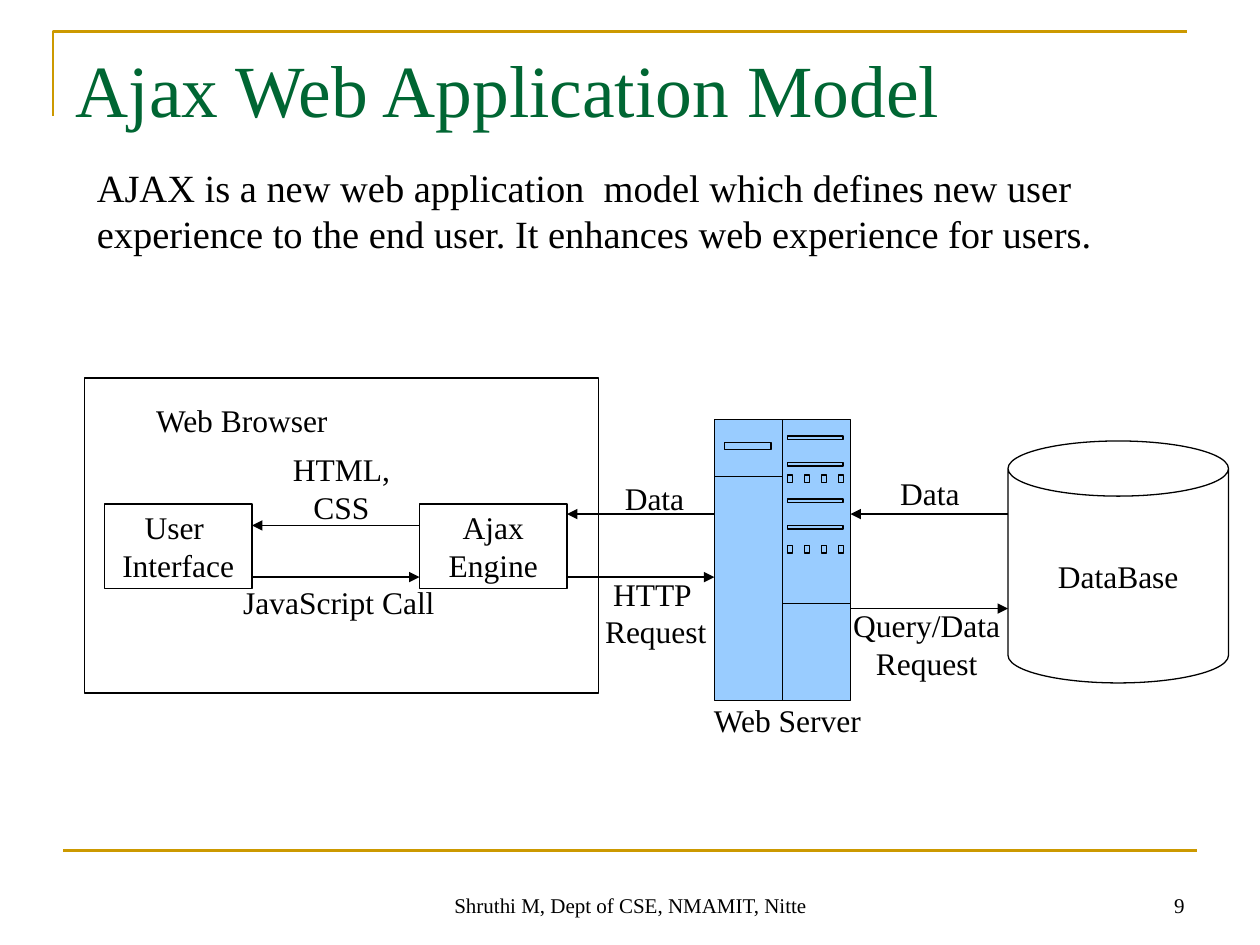
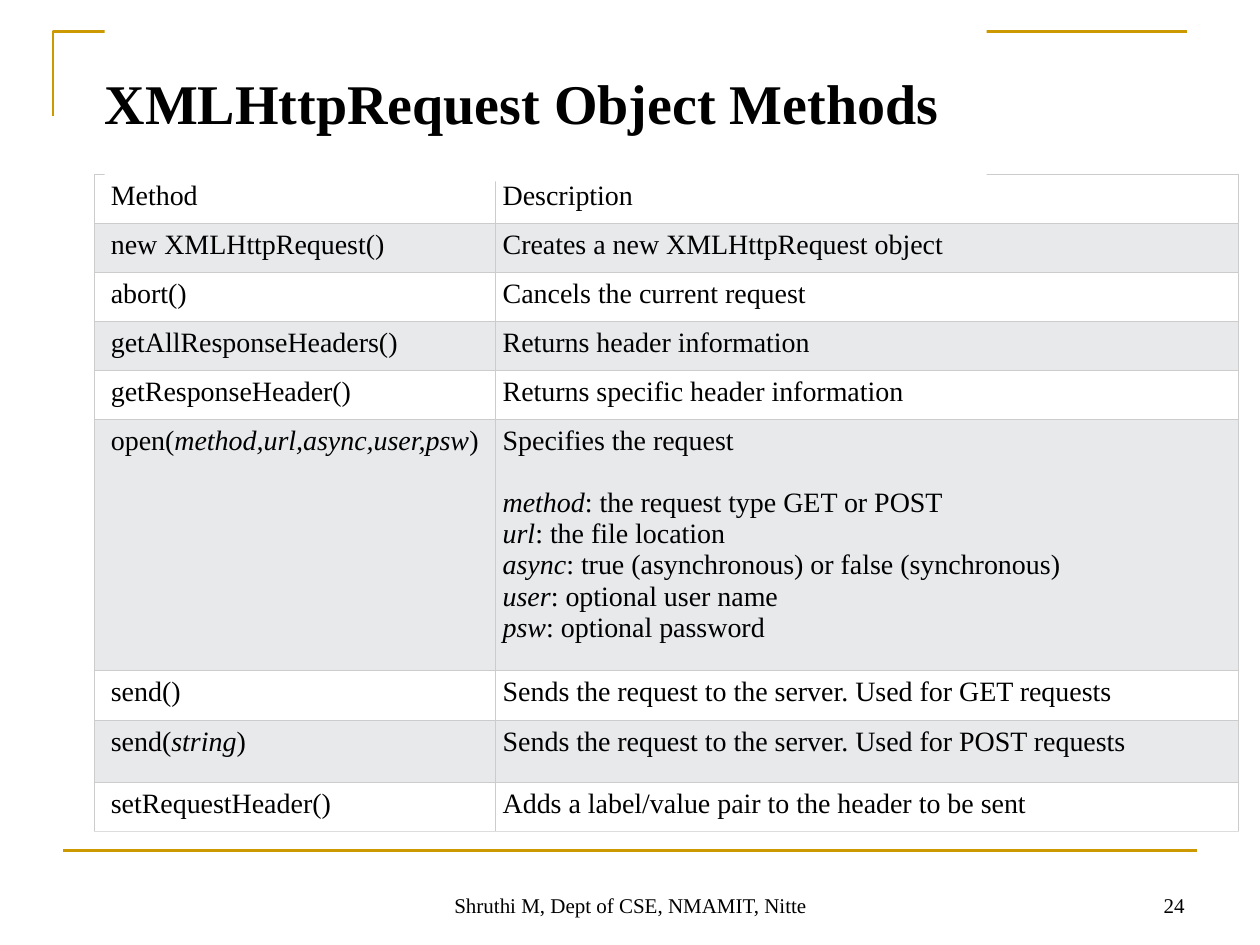
from collections import namedtuple

import pptx
import pptx.dml.color
import pptx.enum.shapes
import pptx.enum.text
import pptx.oxml.ns
import pptx.util
from lxml import etree

Inches = pptx.util.Inches
Pt = pptx.util.Pt
RGBColor = pptx.dml.color.RGBColor
Shape = pptx.enum.shapes.MSO_SHAPE
Align = pptx.enum.text.PP_ALIGN
Anchor = pptx.enum.text.MSO_ANCHOR
qn = pptx.oxml.ns.qn

FONT = "Times New Roman"
BLACK = RGBColor(0x00, 0x00, 0x00)
WHITE = RGBColor(0xFF, 0xFF, 0xFF)
GOLD = RGBColor(0xCC, 0x99, 0x00)
GREEN = RGBColor(0x00, 0x66, 0x33)
SERVER_BLUE = RGBColor(0x99, 0xCC, 0xFF)
BAND_GREY = RGBColor(0xE7, 0xE9, 0xEB)
BORDER_GREY = RGBColor(0xCC, 0xCC, 0xCC)
LAST_BORDER_GREY = RGBColor(0xDD, 0xDD, 0xDD)
TABLE_LINE = Pt(17.7)
FOOTER = "Shruthi M, Dept of CSE, NMAMIT, Nitte"


class Box(namedtuple("Box", "left top width height")):
    """A rectangle in inches."""

    def inner(self, left, top, width, height):
        return Box(self.left + left, self.top + top, width, height)

    def lengths(self):
        return [Inches(value) for value in self]


# Shared helpers
def format_text(frame, size, color=BLACK, align=Align.LEFT, bold=False):
    for paragraph in frame.paragraphs:
        paragraph.alignment = align
        for run in paragraph.runs:
            format_run(run, size, color, bold)


def format_run(run, size, color=BLACK, bold=False, italic=False):
    run.font.name, run.font.size = FONT, Pt(size)
    run.font.bold, run.font.italic = bold, italic
    run.font.color.rgb = color


def add_text(slide, box, text, size=18, align=Align.CENTER,
             anchor=Anchor.MIDDLE, wrap=False):
    frame = slide.shapes.add_textbox(*box.lengths()).text_frame
    frame.word_wrap = wrap
    frame.vertical_anchor = anchor
    if not wrap:
        frame.margin_left = frame.margin_right = 0
    frame.text = text
    format_text(frame, size, align=align)


def style_shape(shape, fill=None, line=BLACK, width=0.75):
    shape.shadow.inherit = False
    if fill is None:
        shape.fill.background()
    else:
        shape.fill.solid()
        shape.fill.fore_color.rgb = fill
    shape.line.color.rgb = line
    shape.line.width = Pt(width)


def add_box(slide, box, text="", kind=Shape.RECTANGLE, fill=None):
    shape = slide.shapes.add_shape(kind, *box.lengths())
    style_shape(shape, fill)
    frame = shape.text_frame
    frame.word_wrap = False
    frame.vertical_anchor = Anchor.MIDDLE
    frame.text = text
    format_text(frame, 18, align=Align.CENTER)
    return shape


def add_line(slide, start, end, color=BLACK, width=0.75, arrow=False):
    points = [Inches(value) for value in (*start, *end)]
    line = slide.shapes.add_connector(
        pptx.enum.shapes.MSO_CONNECTOR.STRAIGHT, *points)
    line.line.color.rgb = color
    line.line.width = Pt(width)
    if arrow:
        etree.SubElement(line.line._get_or_add_ln(), qn("a:tailEnd"),
                         type="triangle")
    etree.SubElement(line.element.spPr, qn("a:effectLst"))


def add_outline(slide, box, contours, color=BLACK, width=0.75):
    """Draw open contours whose points are relative to the box."""
    placed = [[(Inches(box.left + x), Inches(box.top + y)) for x, y in contour]
              for contour in contours]
    builder = slide.shapes.build_freeform(*placed[0][0], scale=1.0)
    builder.add_line_segments(placed[0][1:], close=False)
    for contour in placed[1:]:
        builder.move_to(*contour[0])
        builder.add_line_segments(contour[1:], close=False)
    style_shape(builder.convert_to_shape(), line=color, width=width)


def new_slide(presentation, number):
    slide = presentation.slides.add_slide(presentation.slide_layouts[5])
    # Gold frame and footers
    add_outline(slide, Box(0.42, 0.25, 9, 0.67),
                [[(0, 0.67), (0, 0), (9, 0)]], GOLD, 1.5)
    add_line(slide, (0.5, 6.75), (9.5, 6.75), GOLD, 1.5)
    add_text(slide, Box(3.42, 6.83, 3.17, 0.5), FOOTER, 12,
             anchor=Anchor.BOTTOM, wrap=True)
    add_text(slide, Box(7.17, 6.83, 2.33, 0.5), str(number), 12,
             Align.RIGHT, Anchor.BOTTOM, True)
    return slide


def set_title(slide, box, text, size, color, anchor, margin, bold=False):
    title = slide.shapes.title
    title.left, title.top, title.width, title.height = box.lengths()
    frame = title.text_frame
    frame.word_wrap = True
    frame.auto_size = pptx.enum.text.MSO_AUTO_SIZE.NONE
    frame.vertical_anchor = anchor
    frame.margin_left = frame.margin_right = Inches(margin)
    frame.text = text
    format_text(frame, size, color, bold=bold)
    # Bring the title in front of everything else
    title.element.getparent().append(title.element)
    return title


# Application model diagram
def draw_browser(slide, box):
    add_box(slide, box)
    add_box(slide, box.inner(0.16, 1, 1.17, 0.67), "User \nInterface")
    add_box(slide, box.inner(2.66, 1, 1.17, 0.67), "Ajax\nEngine")
    add_text(slide, box.inner(0.25, 0.17, 2, 0.33), "Web Browser")
    add_text(slide, box.inner(1.08, 0.58, 1.92, 0.58), "HTML,\nCSS")
    add_text(slide, box.inner(1.17, 1.57, 1.7, 0.42), "JavaScript Call")
    left, right = box.left + 1.33, box.left + 2.66
    reply, call = box.top + 1.17, box.top + 1.58
    add_line(slide, (right, reply), (left, reply), arrow=True)
    add_line(slide, (left, call), (right, call), arrow=True)


def draw_server(slide, box):
    def rectangle(x, y, width, height):
        return [(x, y), (x + width, y), (x + width, y + height),
                (x, y + height), (x, y)]

    middle = box.width / 2
    add_box(slide, box, fill=SERVER_BLUE)
    drive = rectangle(0.08, 0.18, 0.37, 0.06)
    divider = [(middle, 0), (middle, box.height)]
    panel = [(0, 0.45), (middle, 0.45), (middle, 1.46), (box.width, 1.46)]
    slots = [rectangle(0.58, y, 0.44, 0.03) for y in (0.13, 0.34, 0.63, 0.84)]
    lights = [rectangle(0.58 + 0.135 * column, y, 0.04, 0.06)
              for y in (0.44, 1) for column in range(4)]
    add_outline(slide, box, [drive, divider, panel, *slots, *lights])
    add_text(slide, box.inner(-0.42, 2.17, 2, 0.42), "Web Server")


def draw_database(slide, box):
    can = add_box(slide, box, "DataBase", Shape.CAN)
    can.adjustments[0] = 0.25


def draw_exchange(slide, box, request_text, reply_label, request_label):
    """Reply arrow along the top of the box, request arrow along its bottom."""
    right, bottom = box.left + box.width, box.top + box.height
    add_line(slide, (right, box.top), (box.left, box.top), arrow=True)
    add_line(slide, (box.left, bottom), (right, bottom), arrow=True)
    add_text(slide, box.inner(*reply_label), "Data")
    add_text(slide, box.inner(*request_label), request_text)


def build_model_slide(presentation):
    slide = new_slide(presentation, 9)
    draw_browser(slide, Box(0.67, 3, 4.08, 2.5))
    draw_database(slide, Box(8, 3.5, 1.75, 1.92))
    draw_server(slide, Box(5.67, 3.33, 1.08, 2.23))
    draw_exchange(slide, Box(4.5, 4.08, 1.17, 0.5), "HTTP \nRequest",
                  (0.28, -0.34, 0.83, 0.42), (-0.21, 0.49, 1.83, 0.58))
    draw_exchange(slide, Box(6.75, 4.08, 1.25, 0.75), "Query/Data\nRequest",
                  (-0.08, -0.33, 1.42, 0.33), (-0.06, 0.74, 1.33, 0.58))
    add_text(slide, Box(0.67, 1.25, 8.92, 0.84),
             "AJAX is a new web application  model which defines new user "
             "experience to the end user. It enhances web experience for "
             "users.", 22, Align.LEFT, Anchor.TOP, True)
    set_title(slide, Box(0.5, 0.3, 9, 1.25), "Ajax Web Application Model",
              42, GREEN, Anchor.TOP, 0.1)


# Methods table: asterisks enclose italic words
METHODS = [
    ("Method", "Description", 0.39),
    ("new XMLHttpRequest()", "Creates a new XMLHttpRequest object", 0.39),
    ("abort()", "Cancels the current request", 0.39),
    ("getAllResponseHeaders()", "Returns header information", 0.39),
    ("getResponseHeader()", "Returns specific header information", 0.39),
    ("open(*method,url,async,user,psw*)",
     "Specifies the request\n"
     "*method*: the request type GET or POST\n"
     "*url*: the file location\n"
     "*async*: true (asynchronous) or false (synchronous)\n"
     "*user*: optional user name\n"
     "*psw*: optional password", 1.99),
    ("send()", "Sends the request to the server. Used for GET requests", 0.4),
    ("send(*string*)",
     "Sends the request to the server. Used for POST requests", 0.49),
    ("setRequestHeader()",
     "Adds a label/value pair to the header to be sent", 0.39),
]


def fill_cell(cell, text, fill, left_margin, bottom_border):
    cell.margin_left, cell.margin_right = Inches(left_margin), Inches(0.06)
    cell.margin_top = cell.margin_bottom = Inches(0.05)
    cell.fill.solid()
    cell.fill.fore_color.rgb = fill
    lines = text.split("\n")
    for index, line in enumerate(lines):
        frame = cell.text_frame
        paragraph = frame.add_paragraph() if index else frame.paragraphs[0]
        for part, words in enumerate(line.split("*")):
            if words:
                run = paragraph.add_run()
                run.text = words
                format_run(run, 16, italic=part % 2 == 1)
    if len(lines) > 1:
        cell.text_frame.paragraphs[0].space_after = TABLE_LINE
    # Borders come before the fill in the cell properties
    properties = cell._tc.get_or_add_tcPr()
    for index, side in enumerate("LRTB"):
        border = etree.Element(qn("a:ln" + side), w=str(Pt(0.34)))
        solid = etree.SubElement(border, qn("a:solidFill"))
        color = bottom_border if side == "B" else BORDER_GREY
        etree.SubElement(solid, qn("a:srgbClr"), val=str(color))
        properties.insert(index, border)


def draw_methods_table(slide, box):
    table = slide.shapes.add_table(len(METHODS), 2, *box.lengths()).table
    table.first_row = table.horz_banding = False
    table.columns[0].width = Inches(3.18)
    table.columns[1].width = Inches(box.width - 3.18)
    for index, (method, description, height) in enumerate(METHODS):
        table.rows[index].height = Inches(height)
        fill = BAND_GREY if index % 2 else WHITE
        is_last = index == len(METHODS) - 1
        bottom = LAST_BORDER_GREY if is_last else BORDER_GREY
        fill_cell(table.cell(index, 0), method, fill, 0.13, bottom)
        fill_cell(table.cell(index, 1), description, fill, 0.06, bottom)


def build_methods_slide(presentation):
    slide = new_slide(presentation, 24)
    draw_methods_table(slide, Box(0.75, 1.38, 9.08, 5.24))
    title = set_title(slide, Box(0.83, 0.18, 7, 1.26),
                      "XMLHttpRequest Object Methods", 32, BLACK,
                      Anchor.MIDDLE, 0, bold=True)
    title.fill.solid()
    title.fill.fore_color.rgb = WHITE


def main():
    presentation = pptx.Presentation()
    presentation.slide_width = Inches(10)
    presentation.slide_height = Inches(7.5)
    build_model_slide(presentation)
    build_methods_slide(presentation)
    presentation.save("out.pptx")


if __name__ == "__main__":
    main()
